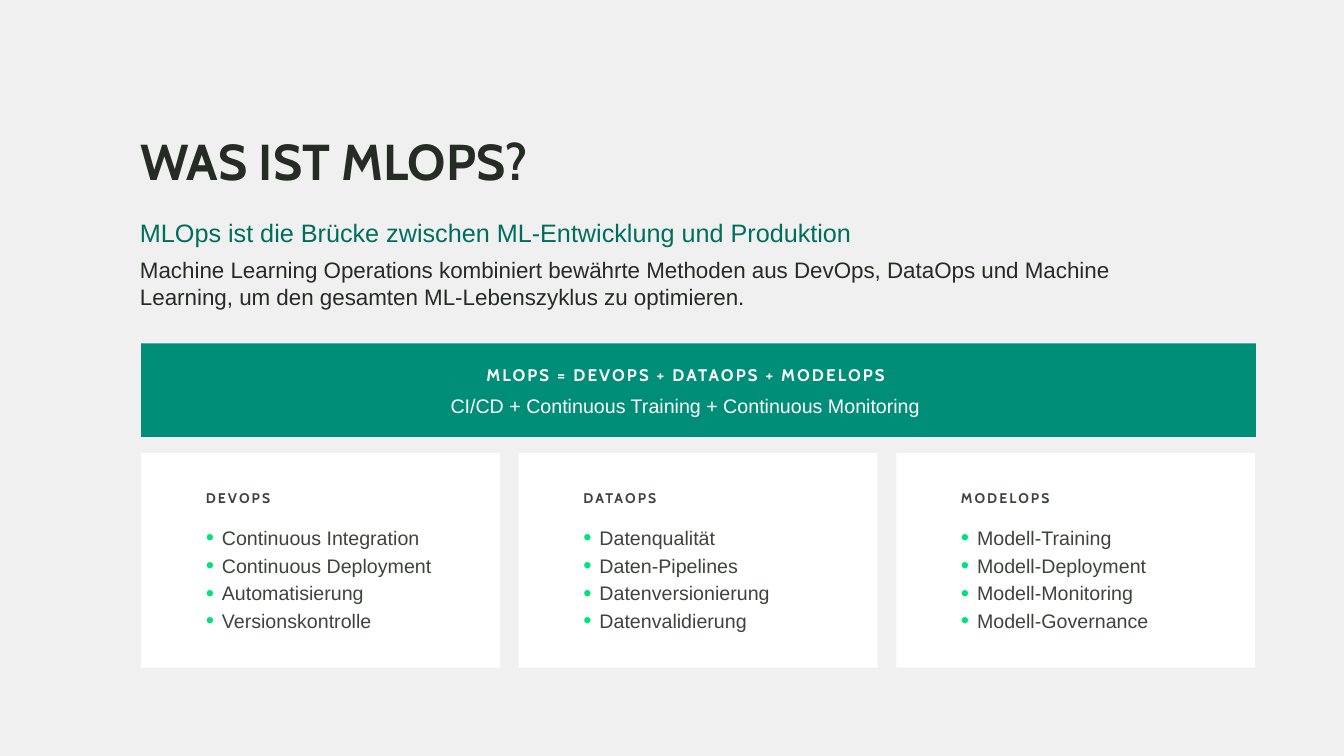
from dataclasses import dataclass

from lxml.etree import SubElement as Sub
from pptx import Presentation
from pptx.dml.color import RGBColor as RGB
from pptx.enum.shapes import MSO_SHAPE as Shape
from pptx.enum.text import MSO_ANCHOR as Anchor, MSO_AUTO_SIZE as Fit, PP_ALIGN as Align
from pptx.oxml.ns import qn
from pptx.slide import Slide
from pptx.text.text import TextFrame as Frame, _Paragraph as Para
from pptx.util import Pt


@dataclass(frozen=True)
class Style:
    size: float
    color: str
    font: str = "Arial"
    bold: bool = False
    track: float = 0


@dataclass(frozen=True)
class Theme:
    back: str = "F0F0F0"
    band: str = "008E79"
    card: str = "FFFFFF"
    dot: str = "00E37C"
    title: Style = Style(36, "242C23", "Cabin", True)
    lead: Style = Style(18, "006E5D")
    body: Style = Style(16, "242C23")
    sum: Style = Style(12, "FFFFFF", "Cabin", True, 1.5)
    note: Style = Style(14, "FFFFFF")
    head: Style = Style(10, "3D443D", "Cabin", True, 1.5)
    item: Style = Style(14, "3D443D")


@dataclass(frozen=True)
class Box:
    left: float
    top: float
    width: float
    height: float


@dataclass(frozen=True)
class Card:
    head: str
    items: tuple[str, ...]


THEME = Theme()
CARDS = (
    Card("DEVOPS", ("Continuous Integration", "Continuous Deployment",
                    "Automatisierung", "Versionskontrolle")),
    Card("DATAOPS", ("Datenqualität", "Daten-Pipelines",
                     "Datenversionierung", "Datenvalidierung")),
    Card("MODELOPS", ("Modell-Training", "Modell-Deployment",
                      "Modell-Monitoring", "Modell-Governance")),
)
LEFT, STEP, INSET = 100.8, 269.7, 46.2


def rect(slide: Slide, box: Box, color: str) -> None:
    shape = slide.shapes.add_shape(
        Shape.RECTANGLE, Pt(box.left), Pt(box.top), Pt(box.width), Pt(box.height))
    shape.shadow.inherit = False
    shape.fill.solid()
    shape.fill.fore_color.rgb = RGB.from_string(color)
    shape.line.fill.background()


def setup(frame: Frame, anchor: Anchor) -> None:
    frame.word_wrap = True
    frame.auto_size = Fit.NONE
    frame.vertical_anchor = anchor
    frame.margin_left = frame.margin_right = 0
    frame.margin_top = frame.margin_bottom = 0


def paint(para: Para, style: Style) -> None:
    for run in para.runs:
        font = run.font
        font.name, font.size, font.bold = style.font, Pt(style.size), style.bold
        font.color.rgb = RGB.from_string(style.color)
        if style.track:
            run._r.get_or_add_rPr().set("spc", str(round(style.track * 100)))


def bullet(para: Para) -> None:
    props = para._p.get_or_add_pPr()
    props.set("marL", str(Pt(11.5)))
    props.set("indent", str(-Pt(11.5)))
    Sub(Sub(props, qn("a:buClr")), qn("a:srgbClr")).set("val", THEME.dot)
    Sub(props, qn("a:buSzPct")).set("val", "120000")
    Sub(props, qn("a:buFont")).set("typeface", "Arial")
    Sub(props, qn("a:buChar")).set("char", "•")


def write(slide: Slide, box: Box, lines: tuple[str, ...], styles: tuple[Style, ...],
          align: Align = Align.LEFT, gap: float = 0, dots: bool = False) -> None:
    frame = slide.shapes.add_textbox(
        Pt(box.left), Pt(box.top), Pt(box.width), Pt(box.height)).text_frame
    setup(frame, Anchor.MIDDLE)
    frame.text = "\n".join(lines)
    for rank, (para, style) in enumerate(zip(frame.paragraphs, styles)):
        if dots:
            bullet(para)
        para.alignment = align
        if rank:
            para.space_before = Pt(gap)
        paint(para, style)


def main() -> None:
    deck = Presentation()
    deck.slide_width, deck.slide_height = Pt(960), Pt(540)
    slide = deck.slides.add_slide(deck.slide_layouts[5])
    slide.background.fill.solid()
    slide.background.fill.fore_color.rgb = RGB.from_string(THEME.back)

    # Title
    title = slide.shapes.title
    title.left, title.top, title.width, title.height = Pt(100), Pt(100), Pt(533), Pt(33)
    setup(title.text_frame, Anchor.TOP)
    title.text_frame.text = "WAS IST MLOPS?"
    para = title.text_frame.paragraphs[0]
    para.alignment, para.line_spacing = Align.LEFT, Pt(36)
    paint(para, THEME.title)

    # Introduction
    write(slide, Box(100, 154.8, 744.5, 67),
          ("MLOps ist die Brücke zwischen ML-Entwicklung und Produktion",
           "Machine Learning Operations kombiniert bewährte Methoden aus DevOps, DataOps "
           "und Machine Learning, um den gesamten ML-Lebenszyklus zu optimieren."),
          (THEME.lead, THEME.body), gap=6)

    # Formula band
    rect(slide, Box(LEFT, 245.2, 796.3, 66.8), THEME.band)
    write(slide, Box(310.3, 260.6, 359.3, 14.6),
          ("MLOPS = DEVOPS + DATAOPS + MODELOPS",), (THEME.sum,), Align.CENTER)
    write(slide, Box(252, 281, 475.2, 17),
          ("CI/CD + Continuous Training + Continuous Monitoring",), (THEME.note,), Align.CENTER)

    # Cards
    for rank, card in enumerate(CARDS):
        left = LEFT + rank * STEP
        rect(slide, Box(left, 323.5, 256.4, 153.5), THEME.card)
        write(slide, Box(left + INSET, 349.8, 96.5, 12.2), (card.head,), (THEME.head,))
        write(slide, Box(left + INSET, 375.2, 185, 77), card.items,
              (THEME.item,) * len(card.items), gap=3, dots=True)

    deck.save("out.pptx")


if __name__ == "__main__":
    main()
